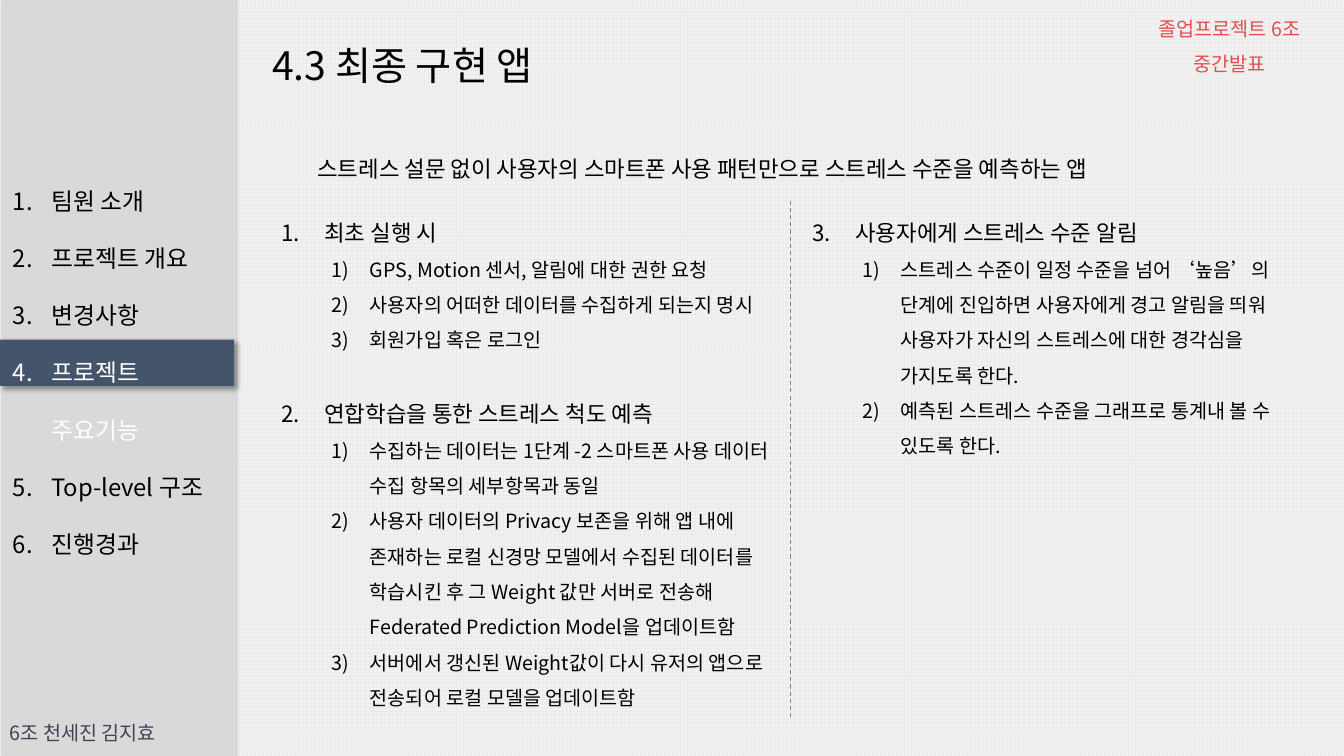
from lxml.etree import SubElement
from pptx import Presentation
from pptx.dml.color import RGBColor
from pptx.enum.dml import MSO_LINE, MSO_PATTERN
from pptx.enum.shapes import MSO_CONNECTOR, MSO_SHAPE
from pptx.enum.text import PP_ALIGN
from pptx.oxml.ns import qn
from pptx.util import Inches, Pt

FONT = "Noto Sans CJK KR"
BLACK = RGBColor(0x00, 0x00, 0x00)
WHITE = RGBColor(0xFF, 0xFF, 0xFF)
GRID = RGBColor(0xEA, 0xEA, 0xEA)
PAPER = RGBColor(0xF2, 0xF2, 0xF2)
SIDEBAR = RGBColor(0xD9, 0xD9, 0xD9)
NAVY = RGBColor(0x44, 0x54, 0x6A)
TEAM = RGBColor(0x40, 0x42, 0x57)
RED = RGBColor(0xE5, 0x4C, 0x4F)
GRAY = RGBColor(0x80, 0x80, 0x80)

# text, left, top, width, height, size, colour, line spacing, alignment
LABELS = [
    ("6조 천세진 김지효", 0, 6.99, 1.95, 0.42, 14, TEAM, 1.5, PP_ALIGN.LEFT),
    ("4.3 최종 구현 앱", 2.6, 0.36, 2.81, 0.57, 28, BLACK, 1, PP_ALIGN.LEFT),
    ("졸업프로젝트 6조 중간발표", 11.04, 0, 2.31, 0.42, 14, RED, 1.5, PP_ALIGN.CENTER),
    ("스트레스 설문 없이 사용자의 스마트폰 사용 패턴만으로 스트레스 수준을 예측하는 앱",
     3.05, 1.49, 9.59, 0.37, 16, BLACK, 1, PP_ALIGN.LEFT),
]
CHAPTERS = ["팀원 소개", "프로젝트 개요", "변경사항", "프로젝트 주요기능", "Top-level 구조", "진행경과"]
CURRENT_CHAPTER = "프로젝트 주요기능"
# heading, space before it in points, steps
FEATURES = [
    ("최초 실행 시", 0, [
        "GPS, Motion 센서, 알림에 대한 권한 요청",
        "사용자의 어떠한 데이터를 수집하게 되는지 명시",
        "회원가입 혹은 로그인",
    ]),
    ("연합학습을 통한 스트레스 척도 예측", 25, [
        "수집하는 데이터는 1단계 -2 스마트폰 사용 데이터 수집 항목의 세부항목과 동일",
        "사용자 데이터의 Privacy 보존을 위해 앱 내에 존재하는 로컬 신경망 모델에서 수집된 "
        "데이터를 학습시킨 후 그 Weight 값만 서버로 전송해 Federated Prediction Model을 업데이트함",
        "서버에서 갱신된 Weight값이 다시 유저의 앱으로 전송되어 로컬 모델을 업데이트함",
    ]),
    ("사용자에게 스트레스 수준 알림", 0, [
        "스트레스 수준이 일정 수준을 넘어 ‘높음’의 단계에 진입하면 사용자에게 경고 알림을 띄워 "
        "사용자가 자신의 스트레스에 대한 경각심을 가지도록 한다.",
        "예측된 스트레스 수준을 그래프로 통계내 볼 수 있도록 한다.",
    ]),
]


def add_box(page, left, top, width, height):
    box = page.shapes.add_textbox(Inches(left), Inches(top), Inches(width), Inches(height))
    box.text_frame.word_wrap = True
    return box.text_frame


def add_rectangle(page, left, top, width, height, color):
    shape = page.shapes.add_shape(
        MSO_SHAPE.RECTANGLE, Inches(left), Inches(top), Inches(width), Inches(height))
    shape.shadow.inherit = False
    shape.fill.solid()
    shape.fill.fore_color.rgb = color
    shape.line.fill.background()
    return shape


def add_paragraph(frame, text, size, color=BLACK, spacing=1.0):
    """Fill the frame's empty first paragraph, or append a new one."""
    para = frame.paragraphs[0]
    if para.runs:
        para = frame.add_paragraph()
    para.add_run().text = text
    para.line_spacing = spacing
    para.font.size = Pt(size)
    para.font.color.rgb = color
    para.font.name = FONT
    defaults = para._p.pPr.find(qn("a:defRPr"))
    SubElement(defaults, qn("a:ea"), typeface=FONT)
    return para


def number(para, scheme, margin, hanging):
    properties = para._p.get_or_add_pPr()
    properties.set("marL", str(Inches(margin)))
    properties.set("indent", str(-Inches(hanging)))
    bullet = SubElement(properties, qn("a:buAutoNum"), type=scheme)
    properties.find(qn("a:defRPr")).addprevious(bullet)


def add_soft_shadow(shape):
    effects = shape._element.spPr.find(qn("a:effectLst"))
    shadow = SubElement(effects, qn("a:outerShdw"), blurRad=str(Pt(4)), dist=str(Pt(3)),
                        dir=str(45 * 60000), algn="tl", rotWithShape="0")
    tint = SubElement(shadow, qn("a:srgbClr"), val=str(BLACK))
    SubElement(tint, qn("a:alpha"), val="40000")


def add_sidebar(page):
    add_rectangle(page, 0.01, 0, 2.35, 7.5, SIDEBAR)
    add_soft_shadow(add_rectangle(page, 0, 3.37, 2.32, 0.46, NAVY))
    frame = add_box(page, 0.03, 1.52, 2.32, 3.46)
    for chapter in CHAPTERS:
        color = WHITE if chapter == CURRENT_CHAPTER else BLACK
        number(add_paragraph(frame, chapter, 17, color, 2.0), "arabicPeriod", 0.38, 0.38)


def add_features(page):
    frame = add_box(page, 2.69, 1.99, 10.3, 5.15)
    columns = frame._txBody.bodyPr
    columns.set("numCol", "2")
    columns.set("spcCol", str(Inches(0.43)))
    for heading, space_before, steps in FEATURES:
        para = add_paragraph(frame, heading, 16, spacing=1.5)
        if space_before:
            para.space_before = Pt(space_before)
        number(para, "arabicPeriod", 0.43, 0.43)
        for step in steps:
            para = add_paragraph(frame, step, 14, spacing=1.5)
            para.level = 1
            number(para, "arabicParenR", 0.88, 0.38)


def add_divider(page):
    divider = page.shapes.add_connector(
        MSO_CONNECTOR.STRAIGHT, Inches(7.84), Inches(1.99), Inches(7.84), Inches(7.14))
    divider.line.color.rgb = GRAY
    divider.line.width = Pt(0.75)
    divider.line.dash_style = MSO_LINE.DASH
    SubElement(divider._element.spPr, qn("a:effectLst"))


def main():
    deck = Presentation()
    deck.slide_width, deck.slide_height = Inches(13.33), Inches(7.5)
    page = deck.slides.add_slide(deck.slide_layouts[6])
    backdrop = page.background.fill
    backdrop.patterned()
    backdrop.pattern = MSO_PATTERN.LARGE_GRID
    backdrop.fore_color.rgb = GRID
    backdrop.back_color.rgb = PAPER

    add_sidebar(page)
    for text, left, top, width, height, size, color, spacing, alignment in LABELS:
        frame = add_box(page, left, top, width, height)
        add_paragraph(frame, text, size, color, spacing).alignment = alignment
    add_features(page)
    add_divider(page)
    deck.save("out.pptx")


if __name__ == "__main__":
    main()
